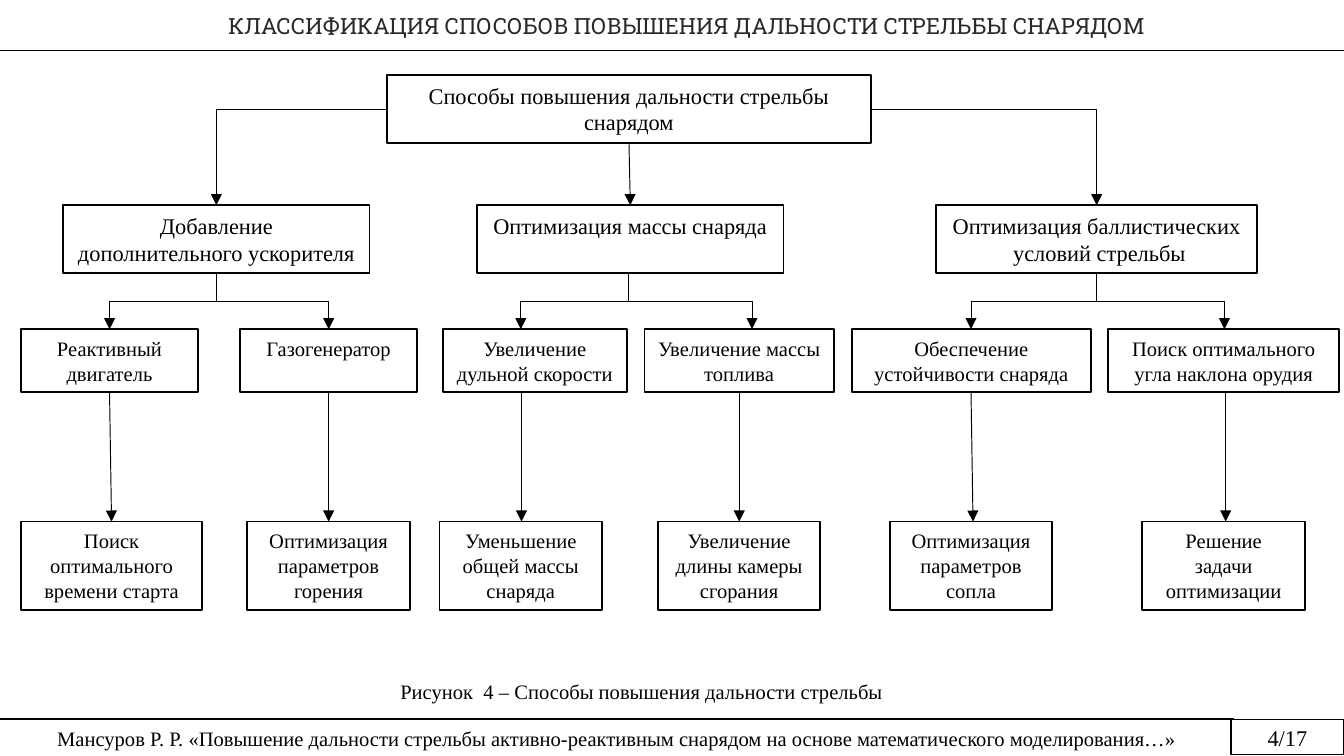
from dataclasses import dataclass

from lxml import etree
from pptx import Presentation
from pptx import util as u
from pptx.dml.color import RGBColor
from pptx.enum import shapes, text
from pptx.oxml.ns import qn

WIDTH = u.Inches(10)
HEIGHT = u.Emu(WIDTH * 9 // 16)
COLORS = {"ink": "000000", "title": "292929", "paper": "FFFFFF"}
BODY_FONT, TITLE_FONT = "Times New Roman", "Roboto Slab"


@dataclass
class Row:
    """Top, height and text size shared by one level of the tree; percent of slide height."""
    top: float
    height: float
    size: float

    @property
    def bottom(self) -> float:
        return self.top + self.height


@dataclass
class Box:
    """Left and width in percent of slide width."""
    words: str
    left: float
    width: float

    @property
    def center(self) -> float:
        return self.left + self.width / 2


@dataclass
class Chain:
    """A means and its goal, with the x where arrows enter and leave the means and reach the goal."""
    means: Box
    goal: Box
    entry: float
    leave: float
    reach: float


@dataclass
class Branch:
    method: Box
    stem: float
    chains: list[Chain]


ROOT_ROW = Row(9.94, 9, 12)
METHOD_ROW = Row(27.15, 9, 12)
MEANS_ROW = Row(43.55, 8.35, 11)
GOAL_ROW = Row(69, 11.73, 11)
ROOT = Box("Способы повышения дальности стрельбы снарядом", 28.8, 36)
BRANCHES = [
    Branch(Box("Добавление дополнительного ускорителя ", 4.7, 22.8), 16.1, [
        Chain(Box("Реактивный двигатель", 1.55, 13.2),
              Box("Поиск оптимального времени старта", 1.55, 13.5), 8.15, 8.15, 8.3),
        Chain(Box("Газогенератор", 17.85, 13.2),
              Box("Оптимизация параметров горения", 18.4, 12.1), 24.45, 24.45, 24.45)]),
    Branch(Box("Оптимизация массы снаряда", 35.5, 22.8), 46.75, [
        Chain(Box("Увеличение дульной скорости", 32.95, 13.7),
              Box("Уменьшение общей массы снаряда", 32.7, 12.1), 38.75, 38.8, 38.8),
        Chain(Box("Увеличение массы топлива", 47.95, 14.1),
              Box("Увеличение длины камеры сгорания", 48.95, 12.1), 55.95, 55, 55)]),
    Branch(Box("Оптимизация баллистических\n условий стрельбы", 69.65, 23.9), 81.6, [
        Chain(Box("Обеспечение устойчивости снаряда", 63.4, 17.75),
              Box("Оптимизация параметров сопла", 66.2, 12.1), 72.25, 72.25, 72.4),
        Chain(Box("Поиск оптимального угла наклона орудия", 82.45, 17.2),
              Box("Решение задачи оптимизации", 85, 12.1), 91.1, 91.2, 91.2)]),
]


def across(share: float) -> int:
    return round(WIDTH * share / 100)


def down(share: float) -> int:
    return round(HEIGHT * share / 100)


def color(name: str) -> RGBColor:
    return RGBColor.from_string(COLORS[name])


def write(shape, words: str, size: float, centered: bool = True, middle: bool = True,
          font: str = BODY_FONT, ink: str = "ink", insets: tuple = (0.1, 0.05, 0.1, 0.05)) -> None:
    frame = shape.text_frame
    frame.text = words
    sides = ("margin_left", "margin_top", "margin_right", "margin_bottom")
    values = dict(zip(sides, map(u.Inches, insets)), word_wrap=True,
                  vertical_anchor=text.MSO_ANCHOR.MIDDLE if middle else text.MSO_ANCHOR.TOP)
    for name, value in values.items():
        setattr(frame, name, value)
    for paragraph in frame.paragraphs:
        paragraph.alignment = text.PP_ALIGN.CENTER if centered else text.PP_ALIGN.LEFT
        for name, value in {"name": font, "size": u.Pt(size), "bold": False}.items():
            setattr(paragraph.font, name, value)
        paragraph.font.color.rgb = color(ink)


def add_panel(slide, left: float, top: float, width: float, height: float, line: float = 0):
    shape = slide.shapes.add_shape(shapes.MSO_SHAPE.RECTANGLE, across(left), down(top),
                                   across(width), down(height))
    shape.shadow.inherit = False
    shape.fill.solid()
    shape.fill.fore_color.rgb = color("paper")
    if line:
        shape.line.color.rgb = color("ink")
        shape.line.width = u.Pt(line)
    else:
        shape.line.fill.background()
    return shape


def add_label(slide, left: float, top: float, width: float, height: float):
    return slide.shapes.add_textbox(across(left), down(top), across(width), down(height))


def add_box(slide, box: Box, row: Row) -> None:
    shape = add_panel(slide, box.left, row.top, box.width, row.height, line=1)
    write(shape, box.words, row.size, middle=False)


def add_line(slide, ends: tuple, kind=shapes.MSO_CONNECTOR.STRAIGHT,
             weight: float = 0.5, arrow: bool = True):
    """Ends are x1, y1, x2, y2 in EMU."""
    connector = slide.shapes.add_connector(kind, *map(round, ends))
    connector.line.color.rgb = color("ink")
    connector.line.width = u.Pt(weight)
    if arrow:
        etree.SubElement(connector.line._get_or_add_ln(), qn("a:tailEnd"), type="triangle")
    etree.SubElement(connector._element.spPr, qn("a:effectLst"))
    return connector


def add_straight(slide, x1: float, y1: float, x2: float, y2: float, **style) -> None:
    add_line(slide, (across(x1), down(y1), across(x2), down(y2)), **style)


def add_elbow(slide, x1: float, y1: float, x2: float, y2: float, bends: int) -> None:
    """One bend leaves sideways and arrives downwards; two bends leave and arrive downwards."""
    start_x, start_y, end_x, end_y = across(x1), down(y1), across(x2), down(y2)
    half_width, half_height = abs(end_x - start_x) / 2, (end_y - start_y) / 2
    middle_x, middle_y = (start_x + end_x) / 2, (start_y + end_y) / 2
    leftward = x2 < x1
    if bends == 2:
        half_width, half_height = half_height, half_width
        turn = {"rot": 90} if leftward else {"rot": 270, "flipH": 1}
    else:
        turn = {"rot": 180, "flipV": 1} if leftward else {}
    connector = add_line(slide, (middle_x - half_width, middle_y - half_height,
                                 middle_x + half_width, middle_y + half_height),
                         kind=shapes.MSO_CONNECTOR.ELBOW)
    properties = connector._element.spPr
    properties.find(qn("a:prstGeom")).set("prst", f"bentConnector{bends + 1}")
    for name, value in turn.items():
        properties.find(qn("a:xfrm")).set(name, str(value * 60000 if name == "rot" else value))


def add_frame(slide) -> None:
    """Title, rules, caption, footer and page number."""
    write(add_panel(slide, 0, 0, 100, 6.7),
          "КЛАССИФИКАЦИЯ СПОСОБОВ ПОВЫШЕНИЯ ДАЛЬНОСТИ СТРЕЛЬБЫ СНАРЯДОМ", 12,
          font=TITLE_FONT, ink="title", insets=(0.23, 0.02, 0.01, 0.01))
    narrow = (0.07, 0.04, 0.07, 0.04)
    write(add_label(slide, 0, 95.4, 91.8, 4.6),
          "Мансуров Р. Р. «Повышение дальности стрельбы активно-реактивным снарядом "
          "на основе математического моделирования…»", 11, insets=narrow)
    write(add_panel(slide, 91.6, 95.2, 8.4, 4.65, line=0.75), "4/17", 12, insets=narrow)
    write(add_label(slide, 28.8, 88.95, 50.8, 5.15),
          "Рисунок  4 – Способы повышения дальности стрельбы", 11, centered=False, middle=False)
    for y, length in ((6.7, 100), (95.1, 91.8)):
        add_straight(slide, 0, y, length, y, weight=0.75, arrow=False)


def add_tree(slide) -> None:
    add_box(slide, ROOT, ROOT_ROW)
    root_middle = ROOT_ROW.top + ROOT_ROW.height / 2
    left, center, right = (branch.method.center for branch in BRANCHES)
    add_elbow(slide, ROOT.left, root_middle, left, METHOD_ROW.top, bends=1)
    add_straight(slide, ROOT.center, ROOT_ROW.bottom, center, METHOD_ROW.top)
    add_elbow(slide, ROOT.left + ROOT.width, root_middle, right, METHOD_ROW.top, bends=1)
    for branch in BRANCHES:
        add_box(slide, branch.method, METHOD_ROW)
        for chain in branch.chains:
            add_box(slide, chain.means, MEANS_ROW)
            add_box(slide, chain.goal, GOAL_ROW)
            add_elbow(slide, branch.stem, METHOD_ROW.bottom, chain.entry, MEANS_ROW.top, bends=2)
            add_straight(slide, chain.leave, MEANS_ROW.bottom, chain.reach, GOAL_ROW.top)


def main() -> None:
    presentation = Presentation()
    presentation.slide_width, presentation.slide_height = WIDTH, HEIGHT
    slide = presentation.slides.add_slide(presentation.slide_layouts[6])
    add_frame(slide)
    add_tree(slide)
    presentation.save("out.pptx")


if __name__ == "__main__":
    main()
